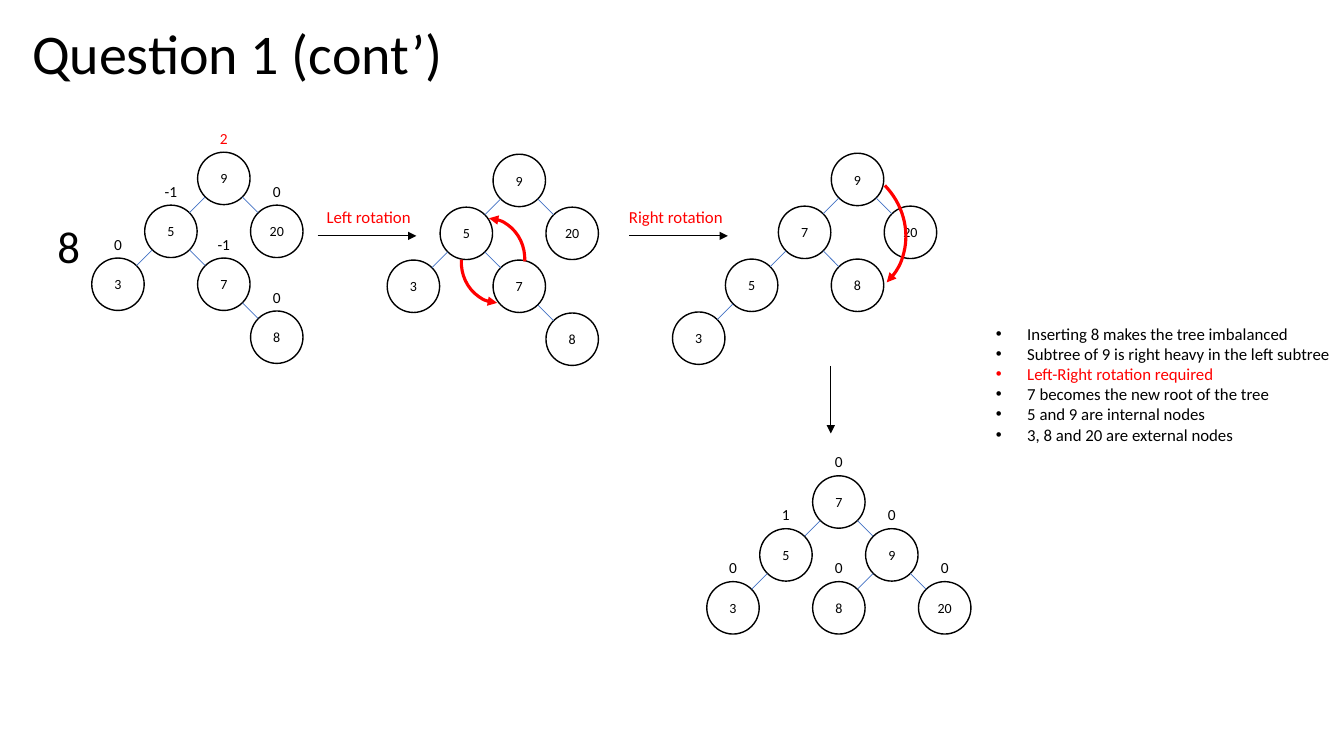
from dataclasses import dataclass

from lxml import etree
from pptx import Presentation
from pptx import util as u
from pptx.dml.color import RGBColor
from pptx.enum import shapes, text
from pptx.oxml.ns import qn


@dataclass(frozen=True)
class Theme:
    font: str = "Calibri"
    ink: RGBColor = RGBColor(0, 0, 0)
    accent: RGBColor = RGBColor(0xFF, 0, 0)
    edge: RGBColor = RGBColor(0x44, 0x72, 0xC4)
    title: float = 40
    inserted: float = 32
    body: float = 12
    balance: float = 11
    key: float = 10
    thin: float = 0.5
    outline: float = 1
    swing: float = 2.25


THEME = Theme()
NODE = 0.52           # node diameter
STEP = 0.525          # distance between neighbouring columns and levels
REACH = 0.185         # from a node centre to the end of its edge, on each axis
LABEL_W, LABEL_H, LABEL_RISE = 0.43, 0.29, 0.28


def inches(*lengths):
    return [u.Inches(length) for length in lengths]


def write(paragraph, words, size, color):
    run = paragraph.add_run()
    run.text = words
    run.font.name = THEME.font
    run.font.size = u.Pt(size)
    run.font.color.rgb = color


def add_label(slide, box, words, size, color=THEME.ink, align=text.PP_ALIGN.LEFT, wrap=True):
    frame = slide.shapes.add_textbox(*inches(*box)).text_frame
    frame.word_wrap = wrap
    frame.paragraphs[0].alignment = align
    write(frame.paragraphs[0], words, size, color)


def add_line(slide, start, end, color, arrow=False):
    line = slide.shapes.add_connector(shapes.MSO_CONNECTOR.STRAIGHT, *inches(*start, *end))
    line.line.color.rgb = color
    line.line.width = u.Pt(THEME.thin)
    if arrow:
        add_arrowhead(line)
    etree.SubElement(line._element.spPr, qn("a:effectLst"))


def add_arrowhead(shape):
    etree.SubElement(shape.line._get_or_add_ln(), qn("a:tailEnd"), type="triangle")


def add_node(slide, left, top, key):
    node = slide.shapes.add_shape(shapes.MSO_SHAPE.OVAL, *inches(left, top, NODE, NODE))
    node.shadow.inherit = False
    node.fill.background()
    node.line.color.rgb = THEME.ink
    node.line.width = u.Pt(THEME.outline)
    frame = node.text_frame
    frame.margin_left = frame.margin_right = frame.margin_top = frame.margin_bottom = 0
    frame.vertical_anchor = text.MSO_ANCHOR.MIDDLE
    frame.paragraphs[0].alignment = text.PP_ALIGN.CENTER
    write(frame.paragraphs[0], key, THEME.key, THEME.ink)


def add_tree(slide, origin, nodes, edges, balances=None):
    """nodes maps each key to (column, level); edges are (parent, child)."""
    corners = {key: (origin[0] + column * STEP, origin[1] + level * STEP)
               for key, (column, level) in nodes.items()}
    for key, (left, top) in corners.items():
        add_node(slide, left, top, key)

    # Edges run diagonally from parent to child
    for parent, child in edges:
        (px, py), (cx, cy) = [(x + NODE / 2, y + NODE / 2)
                              for x, y in (corners[parent], corners[child])]
        side = REACH if cx > px else -REACH
        add_line(slide, (px + side, py + REACH), (cx - side, cy - REACH), THEME.edge)

    # Balance factors sit above their nodes
    for key, balance in (balances or {}).items():
        left, top = corners[key]
        box = (left + (NODE - LABEL_W) / 2, top - LABEL_RISE, LABEL_W, LABEL_H)
        color = THEME.accent if abs(int(balance)) > 1 else THEME.ink
        add_label(slide, box, balance, THEME.balance, color, text.PP_ALIGN.CENTER)


def add_swing(slide, origin, offset, size, angle, flip=False):
    """Curved rotation arrow, placed relative to its tree."""
    left, top = origin[0] + offset[0], origin[1] + offset[1]
    swing = slide.shapes.add_shape(shapes.MSO_SHAPE.ARC, *inches(left, top, *size))
    swing.shadow.inherit = False
    swing.fill.background()
    swing.line.color.rgb = THEME.accent
    swing.line.width = u.Pt(THEME.swing)
    swing.rotation = angle
    if flip:
        swing._element.spPr.find(qn("a:xfrm")).set("flipH", "1")
    add_arrowhead(swing)


def add_step(slide, start, end, caption, caption_box):
    add_line(slide, start, end, THEME.ink, arrow=True)
    if caption:
        add_label(slide, caption_box, caption, THEME.body, THEME.accent, wrap=False)


def add_remarks(slide, box, remarks):
    frame = slide.shapes.add_textbox(*inches(*box)).text_frame
    frame.word_wrap = False
    indent = u.Inches(0.31)
    for index, (remark, color) in enumerate(remarks):
        paragraph = frame.add_paragraph() if index else frame.paragraphs[0]
        properties = paragraph._p.get_or_add_pPr()
        properties.set("marL", str(indent))
        properties.set("indent", str(-indent))
        etree.SubElement(properties, qn("a:buFont"), typeface="Arial")
        etree.SubElement(properties, qn("a:buChar"), char="•")
        write(paragraph, remark, THEME.body, color)


def build_rotation_slide(slide):
    # Heading and inserted key
    add_label(slide, (0.22, 0.13, 4.97, 0.77), "Question 1 (cont’)", THEME.title)
    add_label(slide, (0.47, 2.12, 1.7, 0.64), "8", THEME.inserted)

    # Remarks
    add_remarks(slide, (9.78, 3.16, 3.55, 1.31), [
        ("Inserting 8 makes the tree imbalanced", THEME.ink),
        ("Subtree of 9 is right heavy in the left subtree", THEME.ink),
        ("Left-Right rotation required", THEME.accent),
        ("7 becomes the new root of the tree", THEME.ink),
        ("5 and 9 are internal nodes", THEME.ink),
        ("3, 8 and 20 are external nodes", THEME.ink),
    ])

    # Tree after insertion, and the same tree with its left rotation
    unbalanced = {"9": (2, 0), "5": (1, 1), "20": (3, 1),
                  "7": (2, 2), "3": (0, 2), "8": (3, 3)}
    unbalanced_edges = [("9", "5"), ("9", "20"), ("5", "7"), ("5", "3"), ("7", "8")]
    add_tree(slide, (0.91, 1.51), unbalanced, unbalanced_edges,
             {"8": "0", "3": "0", "20": "0", "7": "-1", "5": "-1", "9": "2"})
    left_turn = (3.84, 1.53)
    add_tree(slide, left_turn, unbalanced, unbalanced_edges)
    add_swing(slide, left_turn, (0.7, 0.69), (0.82, 0.75), 272.8, flip=True)
    add_swing(slide, left_turn, (0.58, 0.67), (0.82, 0.75), 92.8, flip=True)

    # Tree with its right rotation
    right_turn = (6.67, 1.52)
    add_tree(slide, right_turn,
             {"9": (3, 0), "7": (2, 1), "20": (4, 1),
              "8": (3, 2), "5": (1, 2), "3": (0, 3)},
             [("9", "7"), ("9", "20"), ("7", "8"), ("7", "5"), ("5", "3")])
    add_swing(slide, right_turn, (0.93, 0.12), (1.41, 1.31), 46)

    # Balanced tree
    add_tree(slide, (7.01, 4.72),
             {"7": (2, 0), "5": (1, 1), "9": (3, 1),
              "8": (2, 2), "3": (0, 2), "20": (4, 2)},
             [("7", "5"), ("7", "9"), ("5", "3"), ("9", "8"), ("9", "20")],
             {"20": "0", "8": "0", "3": "0", "9": "0", "7": "0", "5": "1"})

    # Steps between the trees
    add_step(slide, (3.15, 2.34), (4.13, 2.34), "Left rotation", (3.14, 2, 1.05, 0.3))
    add_step(slide, (6.24, 2.34), (7.22, 2.34), "Right rotation", (6.14, 2, 1.14, 0.3))
    add_step(slide, (8.24, 3.63), (8.24, 4.3), None, None)


def main():
    deck = Presentation()
    deck.slide_width, deck.slide_height = inches(13.33, 7.5)
    build_rotation_slide(deck.slides.add_slide(deck.slide_layouts[6]))
    deck.save("out.pptx")


if __name__ == "__main__":
    main()
